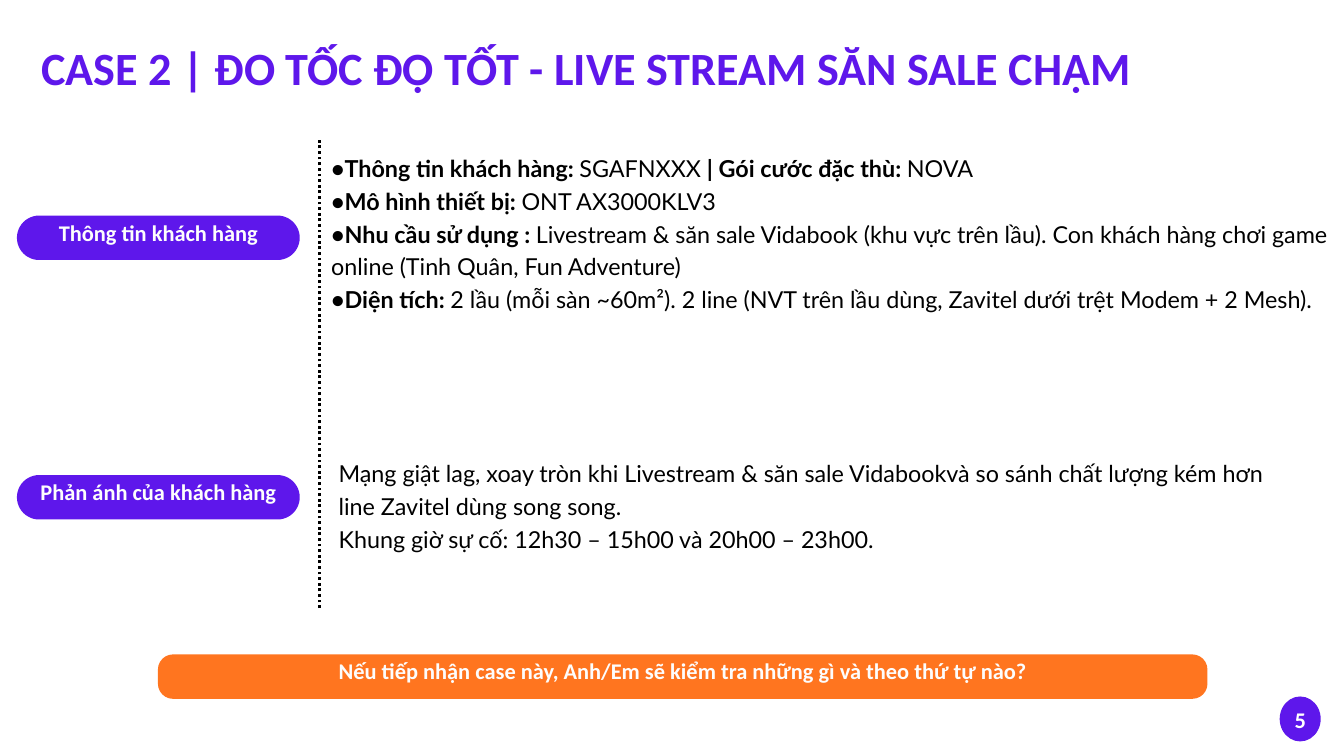
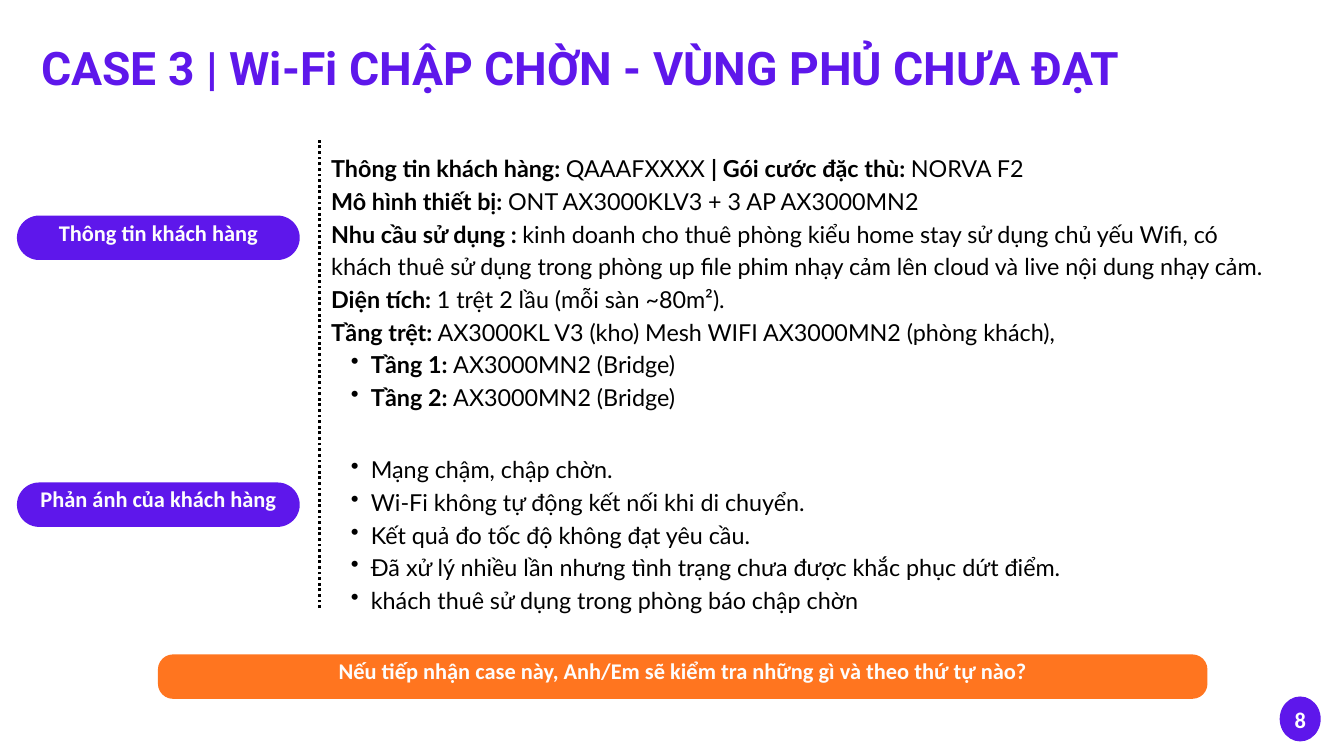
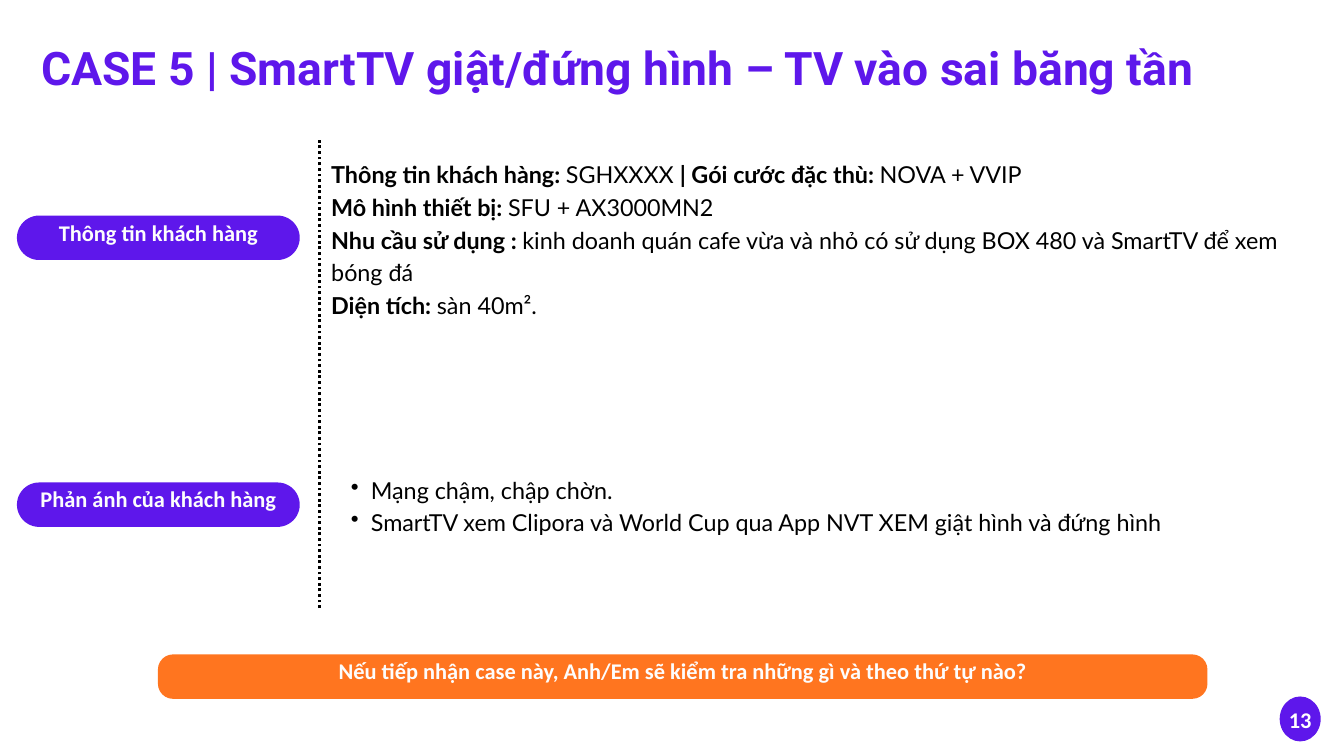
from lxml import etree
from pptx import Presentation
from pptx.dml.color import RGBColor
from pptx.enum import dml, shapes, text
from pptx.oxml import ns
from pptx.util import Cm, Pt

PURPLE = RGBColor(0x5E, 0x17, 0xEB)
ORANGE = RGBColor(0xFF, 0x75, 0x1F)
BLACK = RGBColor(0, 0, 0)
OFF_WHITE = RGBColor(0xFD, 0xFD, 0xFD)
WHITE = RGBColor(0xFF, 0xFF, 0xFF)

INFO_LABEL = "Thông tin khách hàng"
REPORT_LABEL = "Phản ánh của khách hàng"
QUESTION = "Nếu tiếp nhận case này, Anh/Em sẽ kiểm tra những gì và theo thứ tự nào?"

# A paragraph is a string, or a tuple whose parts are in turn bold and regular.
# Boxes are left, top, width, height in centimetres.
CASES = [
    {
        "title": "CASE 2 | ĐO TỐC ĐỘ TỐT - LIVE STREAM SĂN SALE CHẬM",
        "title_font": "Calibri",
        "number": 5,
        "report_label_top": 17.96,
        "info_box": (12.52, 5.66, 38.28, 7.26),
        "info": [
            ("•Thông tin khách hàng: ", "SGAFNXXX ", "| Gói cước đặc thù: ", "NOVA"),
            ("•Mô hình thiết bị: ", "ONT AX3000KLV3"),
            ("•Nhu cầu sử dụng : ",
             "Livestream & săn sale Vidabook (khu vực trên lầu). Con khách hàng chơi game "
             "online (Tinh Quân, Fun Adventure)"),
            ("•Diện tích: ",
             "2 lầu (mỗi sàn ~60m²). 2 line (NVT trên lầu dùng, Zavitel dưới trệt "
             "Modem + 2 Mesh)."),
        ],
        "report_box": (12.8, 17.2, 35.1, 3.61),
        "report": [
            "Mạng giật lag, xoay tròn khi Livestream & săn sale Vidabookvà so sánh "
            "chất lượng kém hơn line Zavitel dùng song song.",
            "Khung giờ sự cố: 12h30 – 15h00 và 20h00 – 23h00.",
        ],
        "report_bullets": False,
    },
    {
        "title": "CASE 3 | Wi-Fi CHẬP CHỜN - VÙNG PHỦ CHƯA ĐẠT",
        "title_font": "Roboto",
        "number": 8,
        "report_label_top": 18.24,
        "info_box": (12.52, 5.66, 35.97, 12.12),
        "info": [
            ("Thông tin khách hàng: ", "QAAAFXXXX ", "| Gói cước đặc thù: ", "NORVA F2"),
            ("Mô hình thiết bị: ", "ONT AX3000KLV3 + 3 AP AX3000MN2"),
            ("Nhu cầu sử dụng : ",
             "kinh doanh cho thuê phòng kiểu home stay sử dụng chủ yếu Wifi, có khách thuê "
             "sử dụng trong phòng up file phim nhạy cảm lên cloud và live nội dung nhạy cảm."),
            ("Diện tích: ", "1 trệt 2 lầu (mỗi sàn ~80m²)."),
            ("Tầng trệt:", " AX3000KL V3 (kho) Mesh WIFI AX3000MN2 (phòng khách),"),
        ],
        "floors": [
            ("Tầng 1: ", "AX3000MN2 (Bridge)"),
            ("Tầng 2: ", "AX3000MN2 (Bridge)"),
        ],
        "report_box": (12.52, 17.04, 30.81, 6.05),
        "report": [
            "Mạng chậm, chập chờn.",
            "Wi-Fi không tự động kết nối khi di chuyển.",
            "Kết quả đo tốc độ không đạt yêu cầu.",
            "Đã xử lý nhiều lần nhưng tình trạng chưa được khắc phục dứt điểm.",
            "khách thuê sử dụng trong phòng báo chập chờn",
        ],
        "report_bullets": True,
    },
    {
        "title": "CASE 5 | SmartTV giật/đứng hình – TV vào sai băng tần",
        "title_font": "Roboto",
        "number": 13,
        "report_label_top": 18.24,
        "info_box": (12.52, 5.89, 35.97, 6.05),
        "info": [
            ("Thông tin khách hàng: ", "SGHXXXX ", "| Gói cước đặc thù: ", "NOVA + VVIP"),
            ("Mô hình thiết bị: ", "SFU + AX3000MN2"),
            ("Nhu cầu sử dụng : ",
             "kinh doanh quán cafe vừa và nhỏ có sử dụng BOX 480 và SmartTV để xem bóng đá"),
            ("Diện tích: ", "sàn 40m²."),
        ],
        "report_box": (12.52, 17.81, 36.96, 2.39),
        "report": [
            "Mạng chậm, chập chờn.",
            "SmartTV xem Clipora và World Cup qua App NVT XEM giật hình và đứng hình",
        ],
        "report_bullets": True,
    },
]


def set_bullet(paragraph):
    properties = paragraph._p.get_or_add_pPr()
    properties.set("marL", str(Cm(1.5)))
    properties.set("indent", str(Cm(-0.76)))
    etree.SubElement(properties, ns.qn("a:buChar")).set("char", "•")


def add_text(slide, box, paragraphs, font="Lato", size=25, color=BLACK, bold=False, spacing=35,
             align=text.PP_ALIGN.LEFT, anchor=text.MSO_ANCHOR.TOP, bullets_from=None):
    """Add a text box; paragraphs from index bullets_from on get bullets."""
    frame = slide.shapes.add_textbox(*map(Cm, box)).text_frame
    frame.word_wrap = True
    frame.vertical_anchor = anchor
    frame.margin_left = frame.margin_right = frame.margin_top = frame.margin_bottom = 0
    for index, content in enumerate(paragraphs):
        paragraph = frame.paragraphs[0] if index == 0 else frame.add_paragraph()
        paragraph.alignment = align
        paragraph.line_spacing = Pt(spacing)
        if bullets_from is not None and index >= bullets_from:
            set_bullet(paragraph)
        parts = (content,) if isinstance(content, str) else content
        for position, part in enumerate(parts):
            run = paragraph.add_run()
            run.text = part
            run.font.name = font
            run.font.size = Pt(size)
            run.font.color.rgb = color
            run.font.bold = bold if len(parts) == 1 else position % 2 == 0


def add_label(slide, kind, box, label, fill, radius=None, color=OFF_WHITE, rise=0.6):
    """Add a filled shape with a centred label whose box starts rise above it."""
    shape = slide.shapes.add_shape(kind, *map(Cm, box))
    shape.shadow.inherit = False
    shape.fill.solid()
    shape.fill.fore_color.rgb = fill
    shape.line.fill.background()
    if radius is not None:
        shape.adjustments[0] = radius
    left, top, width, height = box
    add_text(slide, (left, top - rise, width, height + rise), [label], font="Calibri", size=24,
             color=color, bold=True, spacing=33.6, align=text.PP_ALIGN.CENTER,
             anchor=text.MSO_ANCHOR.MIDDLE)


def add_divider(slide):
    x = Cm(12.07)
    line = slide.shapes.add_connector(shapes.MSO_CONNECTOR.STRAIGHT, x, Cm(22.99), x, Cm(5.26))
    line.line.color.rgb = BLACK
    line.line.width = Pt(3)
    line.line.dash_style = dml.MSO_LINE.ROUND_DOT
    etree.SubElement(line._element.spPr, ns.qn("a:effectLst"))


def add_case(presentation, case):
    slide = presentation.slides.add_slide(presentation.slide_layouts[6])
    rounded = shapes.MSO_SHAPE.ROUNDED_RECTANGLE
    add_text(slide, (1.56, 1.15, 47.42, 2.4), [case["title"]], font=case["title_font"],
             size=49.5, color=PURPLE, bold=True, spacing=69.4)
    add_divider(slide)
    for label, top in ((INFO_LABEL, 8.15), (REPORT_LABEL, case["report_label_top"])):
        add_label(slide, rounded, (0.64, top, 10.69, 1.68), label, PURPLE, radius=0.5)
    add_text(slide, case["info_box"], case["info"] + case.get("floors", []),
             bullets_from=len(case["info"]))
    add_text(slide, case["report_box"], case["report"],
             bullets_from=0 if case["report_bullets"] else None)
    add_label(slide, rounded, (5.97, 24.74, 39.67, 1.68), QUESTION, ORANGE, radius=0.34)
    add_label(slide, shapes.MSO_SHAPE.OVAL, (48.37, 26.33, 1.55, 1.7), str(case["number"]),
              PURPLE, color=WHITE, rise=0.12)


def main():
    presentation = Presentation()
    presentation.slide_width = Cm(50.8)
    presentation.slide_height = Cm(28.58)
    for case in CASES:
        add_case(presentation, case)
    presentation.save("out.pptx")


if __name__ == "__main__":
    main()
